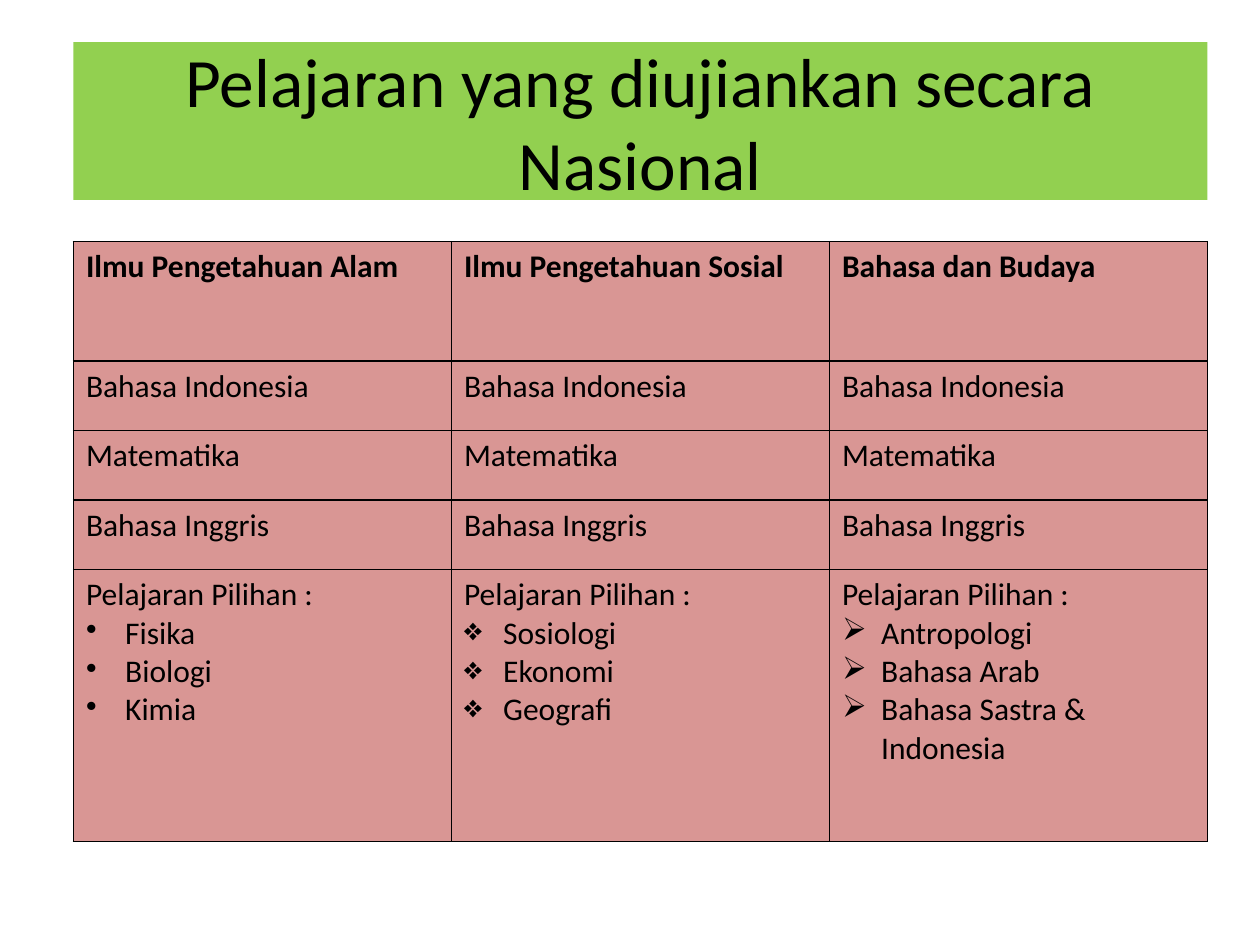
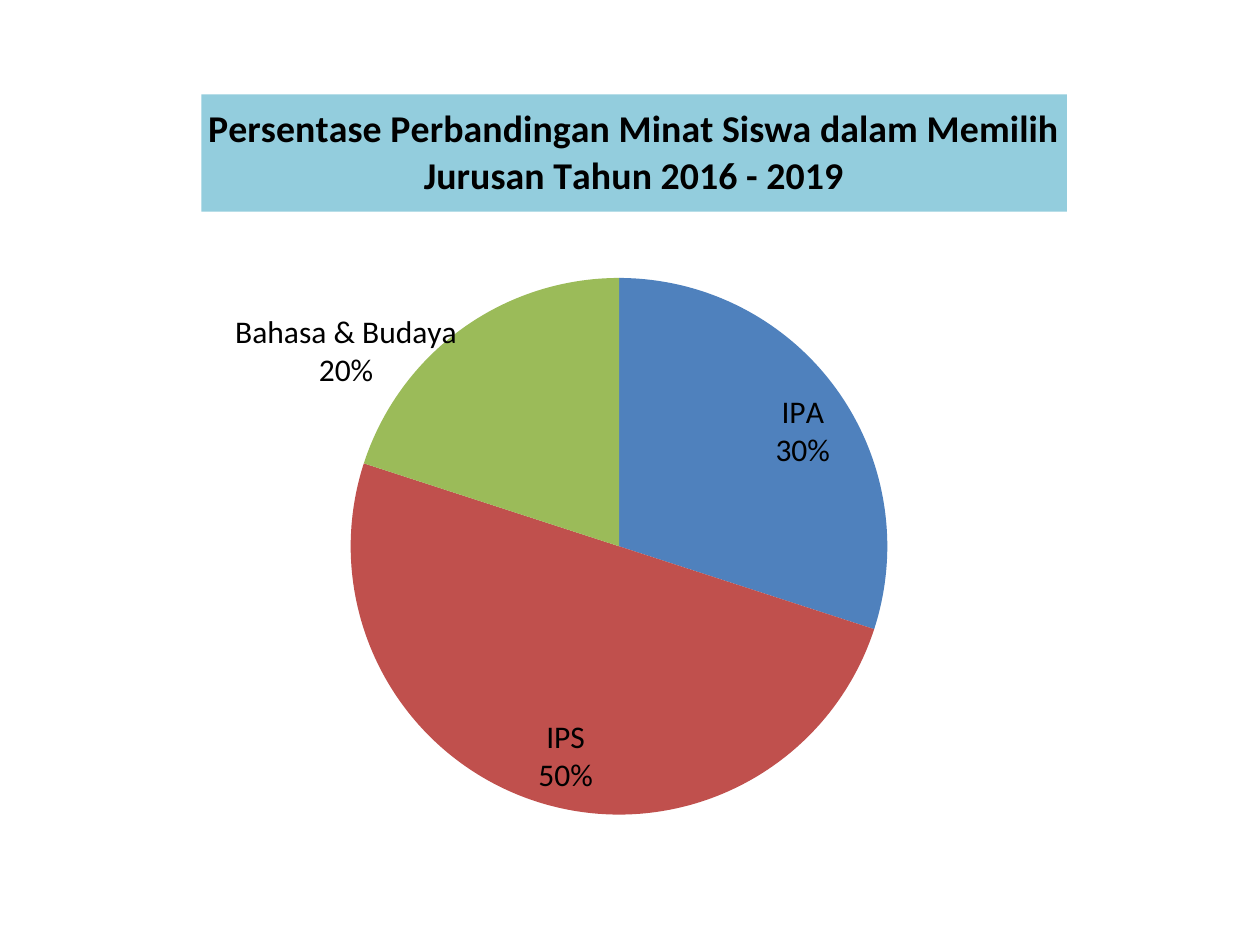
from dataclasses import dataclass

from lxml import etree
from pptx import Presentation
from pptx import util as u
from pptx.chart import data as chart_data
from pptx.dml import color
from pptx.enum import chart as chart_enum, text
from pptx.oxml import ns


@dataclass(frozen=True)
class Theme:
    """Colours, font and type sizes shared by the slides."""
    font: str = "Calibri"
    ink: str = "000000"
    title_band: str = "92D050"
    cell: str = "D99694"
    chart_band: str = "93CDDD"
    slices: tuple = ("4F81BD", "C0504D", "9BBB59")
    title_size: float = 39.6
    chart_title_size: float = 21.6
    body_size: float = 18
    border: float = 1


@dataclass(frozen=True)
class Box:
    """A region of the slide in centimetres."""
    left: float
    top: float
    width: float
    height: float

    def lengths(self):
        """Return left, top, width and height as slide lengths."""
        return [u.Cm(n) for n in (self.left, self.top, self.width, self.height)]


THEME = Theme()
COMMON_SUBJECTS = ("Bahasa Indonesia", "Matematika", "Bahasa Inggris")
STREAMS = (
    ("Ilmu Pengetahuan Alam", "•", ("Fisika", "Biologi", "Kimia")),
    ("Ilmu Pengetahuan Sosial", "❖", ("Sosiologi", "Ekonomi", "Geografi")),
    ("Bahasa dan Budaya", "➢",
     ("Antropologi", "Bahasa Arab", "Bahasa Sastra & Indonesia")),
)
ROW_HEIGHTS = (2.41, 1.4, 1.4, 1.4, 5.49)
INTEREST = {"IPA": 30, "IPS": 50, "Bahasa & Budaya": 20}


def style_font(font, size, bold=False):
    """Apply the theme font and ink."""
    font.name = THEME.font
    font.size = u.Pt(size)
    font.bold = bold
    font.color.rgb = color.RGBColor.from_string(THEME.ink)


def paint(fill, shade):
    """Fill with one solid colour."""
    fill.solid()
    fill.fore_color.rgb = color.RGBColor.from_string(shade)


def add_title(page, box, wording):
    """Place the title placeholder as a filled band."""
    title = page.shapes.title
    title.left, title.top, title.width, title.height = box.lengths()
    paint(title.fill, THEME.title_band)
    frame = title.text_frame
    frame.text = wording
    frame.word_wrap = True
    frame.auto_size = text.MSO_AUTO_SIZE.NONE
    frame.vertical_anchor = text.MSO_ANCHOR.MIDDLE
    para = frame.paragraphs[0]
    para.alignment = text.PP_ALIGN.CENTER
    style_font(para.runs[0].font, THEME.title_size)


def add_bullet(para, mark):
    """Give a paragraph a bullet with a hanging indent."""
    properties = para._p.get_or_add_pPr()
    indent = u.Cm(0.79)
    properties.set("marL", str(indent))
    properties.set("indent", str(-indent))
    etree.SubElement(properties, ns.qn("a:buChar"), char=mark)


def add_borders(cell):
    """Draw a thin line on all four sides of a cell."""
    properties = cell._tc.get_or_add_tcPr()
    for index, side in enumerate("LRTB"):
        line = etree.Element(ns.qn(f"a:ln{side}"), w=str(u.Pt(THEME.border)))
        fill = etree.SubElement(line, ns.qn("a:solidFill"))
        etree.SubElement(fill, ns.qn("a:srgbClr"), val=THEME.ink)
        properties.insert(index, line)


def fill_cell(cell, lines, bold=False, mark=None):
    """Write lines in a cell, with bullets after the first."""
    paint(cell.fill, THEME.cell)
    add_borders(cell)
    cell.text_frame.text = "\n".join(lines)
    for index, para in enumerate(cell.text_frame.paragraphs):
        style_font(para.runs[0].font, THEME.body_size, bold)
        if index:
            add_bullet(para, mark)


def add_subject_table(page, box):
    """Place the table with one column for each stream."""
    table = page.shapes.add_table(
        len(ROW_HEIGHTS), len(STREAMS), *box.lengths()).table
    table.first_row = table.horz_banding = False
    for row, height in zip(table.rows, ROW_HEIGHTS):
        row.height = u.Cm(height)
    for index, (name, mark, choices) in enumerate(STREAMS):
        table.columns[index].width = u.Cm(box.width / len(STREAMS))
        fill_cell(table.cell(0, index), [name], bold=True)
        for row, subject in enumerate(COMMON_SUBJECTS, 1):
            fill_cell(table.cell(row, index), [subject])
        fill_cell(table.cell(len(ROW_HEIGHTS) - 1, index),
                  ["Pelajaran Pilihan :", *choices], mark=mark)


def set_layout(parent, index, settings):
    """Replace the manual layout of a chart part."""
    for old in parent.findall(ns.qn("c:layout")):
        parent.remove(old)
    layout = etree.Element(ns.qn("c:layout"))
    manual = etree.SubElement(layout, ns.qn("c:manualLayout"))
    for name, value in settings.items():
        etree.SubElement(manual, ns.qn(f"c:{name}"), val=str(value))
    parent.insert(index, layout)


def show_category_and_percent(labels):
    """Show category and percentage on separate lines."""
    for name, shown in (("Val", 0), ("CatName", 1), ("Percent", 1)):
        labels.find(ns.qn(f"c:show{name}")).set("val", str(shown))
    separator = etree.Element(ns.qn("c:separator"))
    separator.text = "\n"
    labels.find(ns.qn("c:showBubbleSize")).addnext(separator)


def label_slices(series):
    """Label the slices, with the last label outside the pie."""
    labels = series.data_labels
    labels.number_format = "0%"
    labels.number_format_is_linked = False
    labels.position = chart_enum.XL_LABEL_POSITION.INSIDE_END
    style_font(labels.font, THEME.body_size)
    last = series.points[len(INTEREST) - 1].data_label
    style_font(last.font, THEME.body_size)
    last.position = chart_enum.XL_LABEL_POSITION.OUTSIDE_END
    group = series._element.find(ns.qn("c:dLbls"))
    single = group.find(ns.qn("c:dLbl"))
    show_category_and_percent(group)
    show_category_and_percent(single)
    set_layout(single, 1, {"x": 0, "y": 0.09})


def add_interest_chart(page, box, wording):
    """Place the pie chart with its filled chart title."""
    content = chart_data.CategoryChartData()
    content.categories = list(INTEREST)
    content.add_series("Series 1", list(INTEREST.values()))
    chart = page.shapes.add_chart(
        chart_enum.XL_CHART_TYPE.PIE, *box.lengths(), content).chart
    style_font(chart.font, THEME.body_size)
    chart.has_legend = False
    chart.has_title = True
    title = chart.chart_title
    title.text_frame.text = wording
    style_font(title.text_frame.paragraphs[0].runs[0].font,
               THEME.chart_title_size, bold=True)
    paint(title.format.fill, THEME.chart_band)
    edges = {"xMode": "edge", "yMode": "edge"}
    set_layout(title.element, 1, {**edges, "x": 0.13, "y": 0})
    plot_area = chart.element.find(".//" + ns.qn("c:plotArea"))
    set_layout(plot_area, 0, {"layoutTarget": "inner", **edges,
                              "x": 0.03, "y": 0.25, "w": 0.93, "h": 0.73})
    plot = chart.plots[0]
    plot.vary_by_categories = True
    series = plot.series[0]
    for index, shade in enumerate(THEME.slices):
        paint(series.points[index].format.fill, shade)
    label_slices(series)


def main():
    """Build and save the deck."""
    deck = Presentation()
    deck.slide_width, deck.slide_height = u.Cm(25.4), u.Cm(19.05)
    title_only, blank = deck.slide_layouts[5], deck.slide_layouts[6]

    page = deck.slides.add_slide(title_only)
    add_title(page, Box(1.48, 0.85, 22.86, 3.18),
              "Pelajaran yang diujiankan secara Nasional")
    add_subject_table(page, Box(1.48, 4.87, 22.86, sum(ROW_HEIGHTS)))

    page = deck.slides.add_slide(blank)
    add_interest_chart(
        page, Box(1.06, 1.9, 23.07, 14.82),
        "Persentase Perbandingan Minat Siswa dalam Memilih "
        "Jurusan Tahun 2016 - 2019")

    deck.save("out.pptx")


main()
